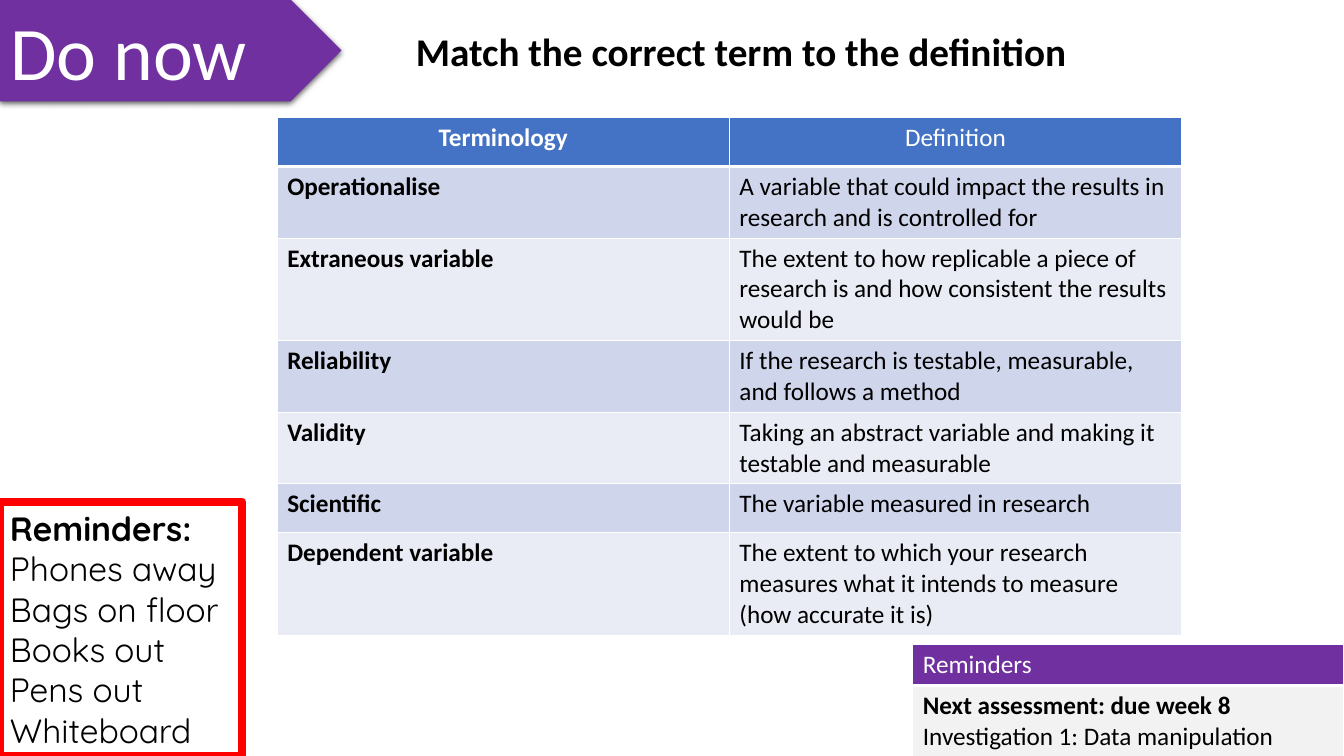
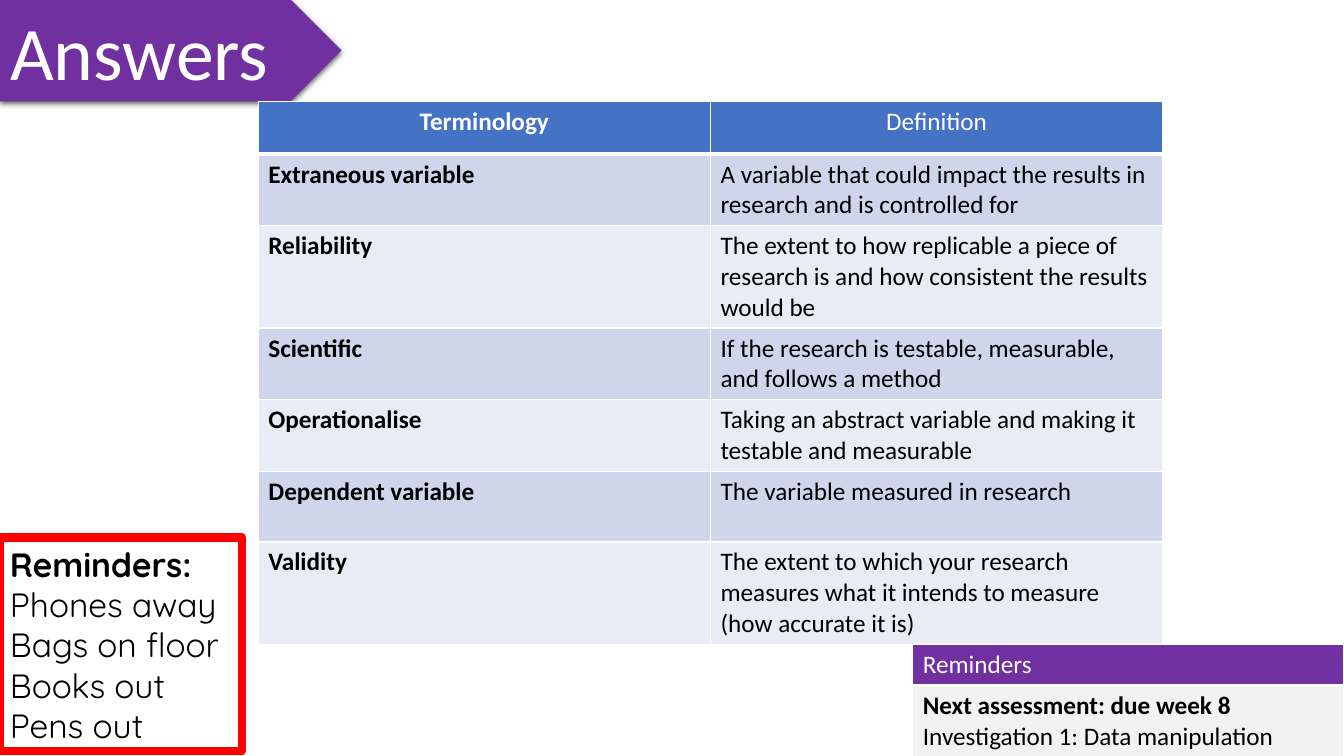
from lxml.etree import SubElement
from pptx import Presentation
from pptx.dml.color import RGBColor
from pptx.enum.shapes import MSO_SHAPE
from pptx.enum.text import MSO_ANCHOR, MSO_AUTO_SIZE, PP_ALIGN
from pptx.oxml import parse_xml
from pptx.oxml.ns import nsdecls, qn
from pptx.util import Pt

COLORS = {
    "purple": "7030A0",
    "red": "FF0000",
    "blue": "4472C4",
    "dark": "CFD5EA",
    "light": "E9EBF5",
    "gray": "F2F2F2",
    "white": "FFFFFF",
    "black": "000000",
}
RGB = {name: RGBColor.from_string(code) for name, code in COLORS.items()}


def write(frame, text, size=18, color="black", font="Calibri", bold=0, align=PP_ALIGN.LEFT):
    for i, line in enumerate(text.split("\n")):
        para = frame.paragraphs[0] if i == 0 else frame.add_paragraph()
        para.alignment = align
        run = para.add_run()
        run.text = line
        run.font.name = font
        run.font.size = Pt(size)
        run.font.bold = i < bold
        run.font.color.rgb = RGB[color]


def grid(slide, left, top, widths, heights, fills):
    frame = slide.shapes.add_table(
        len(heights), len(widths), Pt(left), Pt(top), Pt(sum(widths)), Pt(sum(heights))
    )
    table = frame.table
    for col, width in zip(table.columns, widths):
        col.width = Pt(width)
    for i, (row, height, fill) in enumerate(zip(table.rows, heights, fills)):
        row.height = Pt(height)
        for cell in row.cells:
            props = cell._tc.get_or_add_tcPr()
            for side in "LRTB":
                width = 3 if i == 0 and side == "B" else 1
                edge = SubElement(props, qn(f"a:ln{side}"), w=str(Pt(width)))
                paint = SubElement(edge, qn("a:solidFill"))
                SubElement(paint, qn("a:srgbClr"), val=COLORS["white"])
            cell.fill.solid()
            cell.fill.fore_color.rgb = RGB[fill]
    return table


MEANINGS = [
    "A variable that could impact the results in research and is controlled for",
    "The extent to how replicable a piece of research is and how consistent the results would be",
    "If the research is testable, measurable, and follows a method",
    "Taking an abstract variable and making it testable and measurable",
    "The variable measured in research",
    "The extent to which your research measures what it intends to measure (how accurate it is)",
]
CHORES = ["Reminders:", "Phones away", "Bags on floor", "Books out", "Pens out", "Whiteboard"]
ONE, TWO, THREE = 35, 50.5, 72
BANNER = (Pt(0), Pt(-0.5), Pt(244), Pt(73))

PAGES = [
    {
        "title": "Do now",
        "terms": ["Operationalise", "Extraneous variable", "Reliability", "Validity",
                  "Scientific", "Dependent variable"],
        "chores": CHORES,
        "box": (358.5, 181.5),
        "place": (198, 84),
        "heights": [ONE, TWO, THREE, TWO, TWO, ONE, THREE],
        "task": "Match the correct term to the definition",
    },
    {
        "title": "Answers",
        "terms": ["Extraneous variable", "Reliability", "Scientific", "Operationalise",
                  "Dependent variable", "Validity"],
        "chores": CHORES[:-1],
        "box": (384, 152.5),
        "place": (184.5, 72.5),
        "heights": [37.5, TWO, THREE, TWO, TWO, TWO, THREE],
        "task": None,
    },
]

deck = Presentation()
deck.slide_width, deck.slide_height = Pt(960), Pt(540)
layout = deck.slide_layouts[5]
head = layout.placeholders[0]
head.left, head.top, head.width, head.height = BANNER

for page in PAGES:
    slide = deck.slides.add_slide(layout)
    shapes = slide.shapes
    title = shapes.title

    banner = shapes.add_shape(MSO_SHAPE.PENTAGON, *BANNER)
    banner.fill.solid()
    banner.fill.fore_color.rgb = RGB["purple"]
    banner.line.fill.background()
    banner.shadow.inherit = False
    banner.element.spPr.find(qn("a:effectLst")).append(parse_xml(
        f'<a:outerShdw {nsdecls("a")} blurRad="{Pt(4.5)}" dist="{Pt(1.5)}" dir="5400000" '
        f'algn="ctr" rotWithShape="0"><a:srgbClr val="{COLORS["black"]}">'
        '<a:alpha val="63000"/></a:srgbClr></a:outerShdw>'
    ))
    title.element.addprevious(banner.element)
    title.text_frame.auto_size = MSO_AUTO_SIZE.NONE
    title.text_frame.vertical_anchor = MSO_ANCHOR.MIDDLE
    write(title.text_frame, page["title"], size=54, color="white")

    top, height = page["box"]
    box = shapes.add_shape(MSO_SHAPE.RECTANGLE, Pt(0), Pt(top), Pt(173), Pt(height))
    box.fill.background()
    box.line.color.rgb = RGB["red"]
    box.line.width = Pt(6)
    box.shadow.inherit = False
    box.text_frame.vertical_anchor = MSO_ANCHOR.MIDDLE
    write(box.text_frame, "\n".join(page["chores"]), size=24, font="Quicksand", bold=1)

    notice = grid(slide, 652, 460.5, [308], [29, TWO], ["purple", "gray"])
    write(notice.cell(0, 0).text_frame, "Reminders", color="white")
    write(notice.cell(1, 0).text_frame,
          "Next assessment: due week 8\nInvestigation 1: Data manipulation", bold=1)

    match = grid(slide, *page["place"], [323, 323], page["heights"],
                 ["blue"] + ["dark", "light"] * 3)
    for col, label in enumerate(["Terminology", "Definition"]):
        write(match.cell(0, col).text_frame, label, color="white", bold=1 - col,
              align=PP_ALIGN.CENTER)
    for row, (term, meaning) in enumerate(zip(page["terms"], MEANINGS), 1):
        write(match.cell(row, 0).text_frame, term, bold=1)
        write(match.cell(row, 1).text_frame, meaning)

    if page["task"]:
        task = shapes.add_textbox(Pt(290), Pt(16), Pt(485), Pt(41))
        task.text_frame.word_wrap = False
        write(task.text_frame, page["task"], size=28, bold=1)

deck.save("out.pptx")
